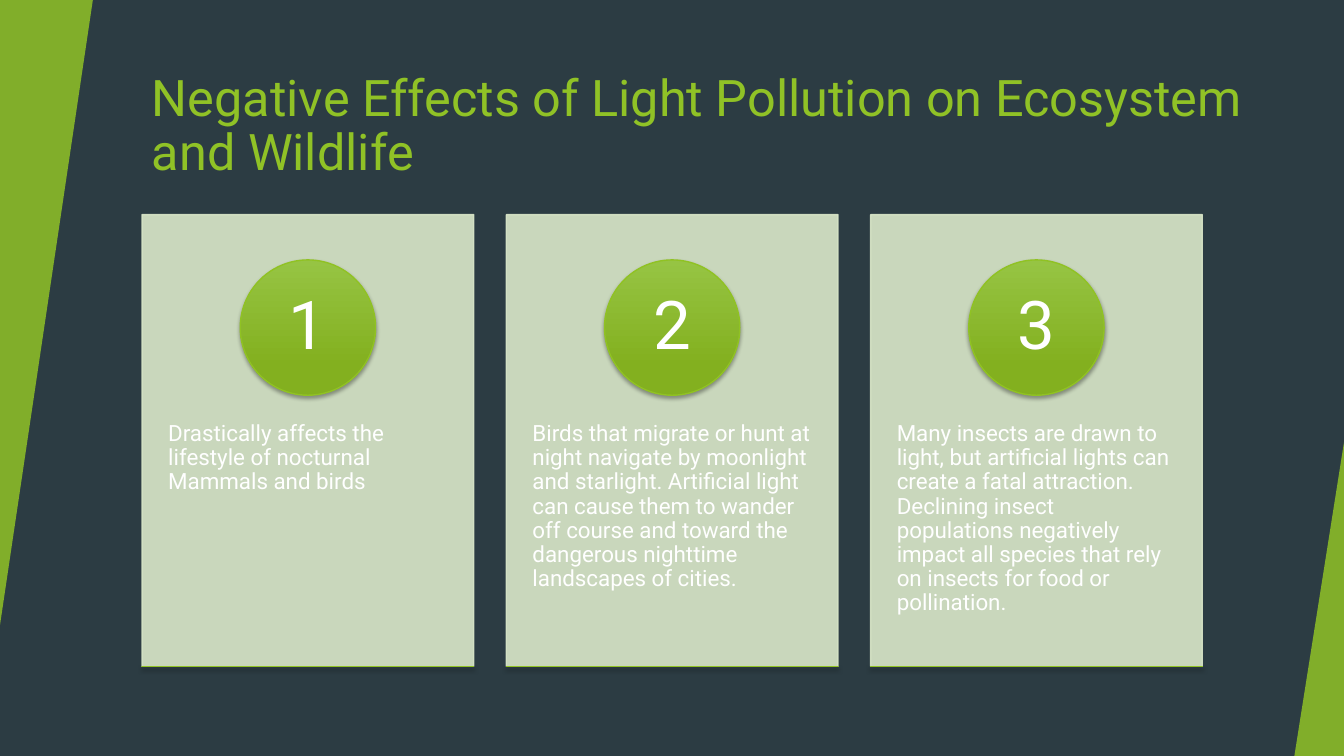
from dataclasses import dataclass

from lxml import etree
from pptx import Presentation
from pptx.dml.color import RGBColor
from pptx.enum.shapes import MSO_SHAPE
from pptx.enum.text import MSO_ANCHOR, MSO_AUTO_SIZE, PP_ALIGN
from pptx.oxml.ns import qn
from pptx.util import Cm, Pt

RECTANGLE, OVAL, TRIANGLE = MSO_SHAPE.RECTANGLE, MSO_SHAPE.OVAL, MSO_SHAPE.ISOSCELES_TRIANGLE
TOP, MIDDLE = MSO_ANCHOR.TOP, MSO_ANCHOR.MIDDLE
LEFT, CENTER = PP_ALIGN.LEFT, PP_ALIGN.CENTER
NO_AUTOFIT = MSO_AUTO_SIZE.NONE

SLIDE_WIDTH, SLIDE_HEIGHT = 33.87, 19.05
CARD_LEFT, CARD_TOP, CARD_STEP = 3.58, 5.41, 9.18
CARD_WIDTH, CARD_HEIGHT = 8.36, 11.38
BADGE_TOP, BADGE_SIZE, NUMBER_SIZE = 6.55, 3.41, 2.41
BODY_TOP, BODY_HEIGHT = 9.73, 6.83

TITLE = "Negative Effects of Light Pollution on Ecosystem and Wildlife"
EFFECTS = [
    "Drastically affects the lifestyle of nocturnal Mammals and birds",
    "Birds that migrate or hunt at night navigate by moonlight and starlight. "
    "Artificial light can cause them to wander off course and toward the dangerous "
    "nighttime landscapes of cities.",
    "Many insects are drawn to light, but artificial lights can create a fatal attraction. "
    "Declining insect populations negatively impact all species that rely on insects "
    "for food or pollination.",
]


@dataclass(frozen=True)
class Theme:
    font: str = "Roboto"
    background: str = "2C3C43"
    accent: str = "90C226"
    card: str = "DBE8CA"
    gradient: tuple = ((0, "96C443"), (0.78, "83B01F"))
    accent_line: str = "90C223"
    shadow: str = "000000"
    text: str = "FFFFFF"
    title_size: int = 36
    body_size: int = 16
    number_size: int = 48


def set_opacity(parent, percent):
    """Give every RGB colour below the XML element this opacity."""
    for color in parent.iter(qn("a:srgbClr")):
        etree.SubElement(color, qn("a:alpha"), val=str(percent * 1000))


class SlideBuilder:
    def __init__(self, presentation, theme):
        self.theme = theme
        self.slide = presentation.slides.add_slide(presentation.slide_layouts[5])
        fill = self.slide.background.fill
        fill.solid()
        fill.fore_color.rgb = RGBColor.from_string(theme.background)

    def add_shape(self, kind, left, top, width, height):
        shape = self.slide.shapes.add_shape(kind, Cm(left), Cm(top), Cm(width), Cm(height))
        shape.shadow.inherit = False
        return shape

    def solid(self, kind, box, color, opacity, outlined=False):
        shape = self.add_shape(kind, *box)
        shape.fill.solid()
        shape.fill.fore_color.rgb = RGBColor.from_string(color)
        if outlined:
            shape.line.color.rgb = RGBColor.from_string(color)
            shape.line.width = Pt(1)
        else:
            shape.line.fill.background()
        set_opacity(shape.element.spPr, opacity)
        return shape

    def corner_triangle(self, box, rotation=0):
        """Draw a right-angled triangle with its apex at the right end."""
        shape = self.solid(TRIANGLE, box, self.theme.accent, 85)
        shape.adjustments[0] = 1
        shape.rotation = rotation

    def glossy(self, kind, box):
        """Draw a shape with the green gradient and a soft shadow below."""
        shape = self.add_shape(kind, *box)
        shape.fill.gradient()
        shape.fill.gradient_angle = 270
        for stop, (position, color) in zip(shape.fill.gradient_stops, self.theme.gradient):
            stop.position = position
            stop.color.rgb = RGBColor.from_string(color)
        shape.line.color.rgb = RGBColor.from_string(self.theme.accent_line)
        shape.line.width = Pt(1)
        effects = shape.element.spPr.find(qn("a:effectLst"))
        shadow = etree.SubElement(
            effects, qn("a:outerShdw"), blurRad=str(Pt(3)), dist=str(Pt(2)),
            dir="5400000", rotWithShape="0")
        etree.SubElement(shadow, qn("a:srgbClr"), val=self.theme.shadow)
        set_opacity(shadow, 35)

    def set_text(self, shape, text, size, color, insets, anchor=TOP, alignment=LEFT):
        side, end = (Cm(inset) for inset in insets)
        frame = shape.text_frame
        frame.text = text
        paragraph = frame.paragraphs[0]
        formats = [
            (frame, {"word_wrap": True, "auto_size": NO_AUTOFIT, "vertical_anchor": anchor,
                     "margin_left": side, "margin_right": side,
                     "margin_top": end, "margin_bottom": end}),
            (paragraph, {"alignment": alignment, "line_spacing": 0.9}),
            (paragraph.runs[0].font, {"name": self.theme.font, "size": Pt(size)}),
            (paragraph.runs[0].font.color, {"rgb": RGBColor.from_string(color)}),
        ]
        for target, values in formats:
            for name, value in values.items():
                setattr(target, name, value)

    def title(self, text, left, top, width, height):
        shape = self.slide.shapes.title
        shape.left, shape.top, shape.width, shape.height = map(Cm, (left, top, width, height))
        self.set_text(shape, text, self.theme.title_size, self.theme.accent, (0.25, 0.13))

    def text_box(self, text, box, size, insets, **layout):
        shape = self.slide.shapes.add_textbox(*map(Cm, box))
        self.set_text(shape, text, size, self.theme.text, insets, **layout)

    def card(self, number, text, left):
        theme = self.theme
        self.solid(RECTANGLE, (left, CARD_TOP, CARD_WIDTH, CARD_HEIGHT), theme.card, 90,
                   outlined=True)
        self.text_box(text, (left, BODY_TOP, CARD_WIDTH, BODY_HEIGHT), theme.body_size,
                      (0.66, 0.91))
        badge_left = left + (CARD_WIDTH - BADGE_SIZE) / 2
        self.glossy(OVAL, (badge_left, BADGE_TOP, BADGE_SIZE, BADGE_SIZE))
        inset = (BADGE_SIZE - NUMBER_SIZE) / 2
        self.text_box(str(number),
                      (badge_left + inset, BADGE_TOP + inset, NUMBER_SIZE, NUMBER_SIZE),
                      theme.number_size, (0.25, 0.03), anchor=MIDDLE, alignment=CENTER)
        self.glossy(RECTANGLE, (left, CARD_TOP + CARD_HEIGHT, CARD_WIDTH, 0.01))


def main():
    presentation = Presentation()
    presentation.slide_width = Cm(SLIDE_WIDTH)
    presentation.slide_height = Cm(SLIDE_HEIGHT)
    builder = SlideBuilder(presentation, Theme())
    builder.corner_triangle((0, 0, 2.34, 15.75), rotation=180)
    builder.corner_triangle((SLIDE_WIDTH - 1.25, 11.15, 1.25, 7.9))
    builder.title(TITLE, CARD_LEFT, 1.7, 28.32, 3.05)
    for index, text in enumerate(EFFECTS):
        builder.card(index + 1, text, CARD_LEFT + index * CARD_STEP)
    presentation.save("out.pptx")


if __name__ == "__main__":
    main()
